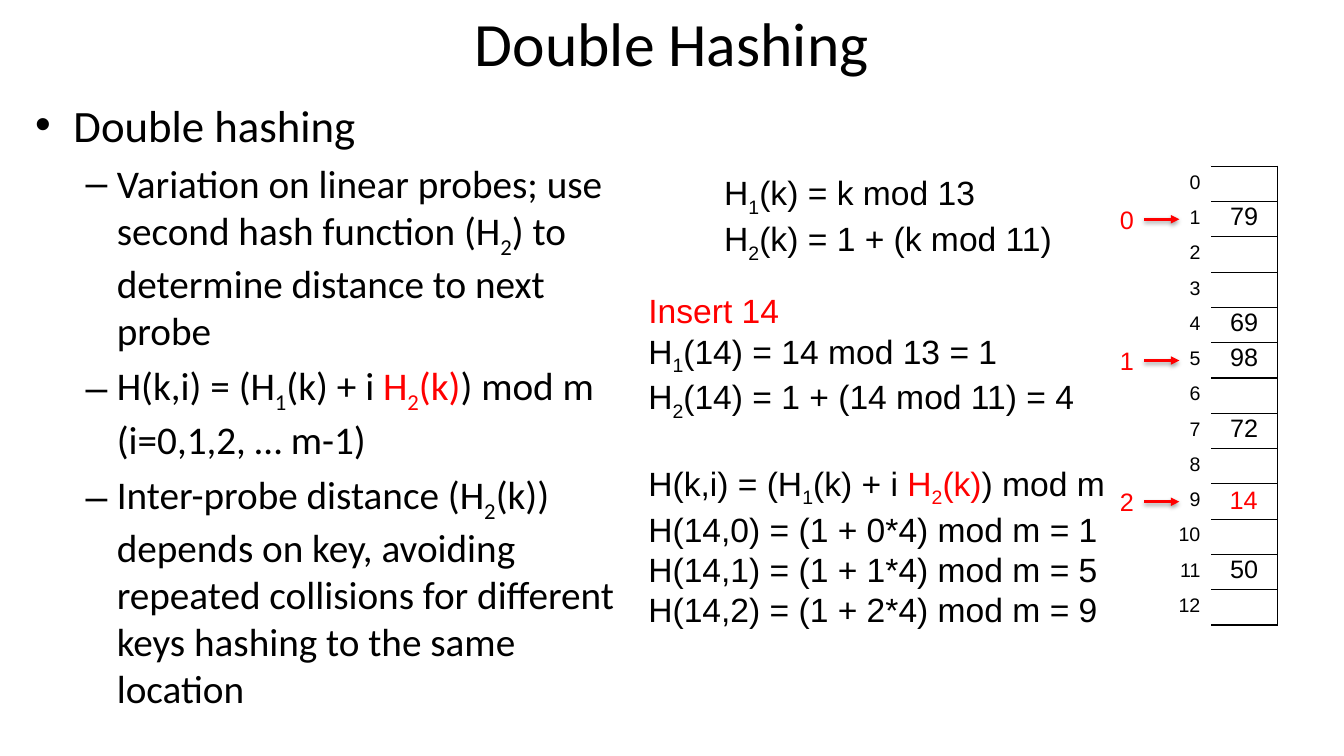
import pptx
import pptx.dml.color
import pptx.enum.shapes
import pptx.enum.text
import pptx.oxml
import pptx.oxml.ns
import pptx.util
from lxml import etree

BLACK = pptx.dml.color.RGBColor(0, 0, 0)
RED = pptx.dml.color.RGBColor(255, 0, 0)
ALIGN = pptx.enum.text.PP_ALIGN
WIDTH, HEIGHT = pptx.util.Inches(13.33), pptx.util.Inches(7.5)
DRAWING = pptx.oxml.ns.nsdecls("a")

# Places are percentages of the slide's width and height.
TABLE_LEFT, TABLE_TOP = 90.07, 22
TABLE_WIDTH, LABEL_WIDTH = 5, 3.75
ROW = 4.67
SLOTS = 13
STORED = {1: "79", 4: "69", 5: "98", 7: "72", 11: "50"}
PROBED_SLOTS = [1, 5, 9]

# In the texts, ~ switches subscript on and off, and | switches red on and off.
RECURRENCE = "H(k,i) = (H~1~(k) + i |H~2~(k)|) mod m"
BODY = [
    "Double hashing",
    "Variation on linear probes; use second hash function (H~2~) to determine distance to next probe",
    RECURRENCE + " (i=0,1,2, … m-1)",
    "Inter-probe distance (H~2~(k)) depends on key, avoiding repeated collisions "
    "for different keys hashing to the same location",
]
FUNCTIONS = ["H~1~(k) = k mod 13", "H~2~(k) = 1 + (k mod 11)"]
INSERTION = ["|Insert 14|", "H~1~(14) = 14 mod 13 = 1", "H~2~(14) = 1 + (14 mod 11) = 4"]
PROBES = [RECURRENCE] + [
    f"H(14,{probe}) = (1 + {probe}*4) mod m = {slot}"
    for probe, slot in enumerate(PROBED_SLOTS)
]


def across(percent):
    return round(WIDTH * percent / 100)


def down(percent):
    return round(HEIGHT * percent / 100)


def slot_top(slot):
    return TABLE_TOP + slot * ROW


def write(para, marked, size, font="Arial"):
    """Fill a paragraph from text with ~ and | switches."""
    for red_turn, stretch in enumerate(marked.split("|")):
        for low_turn, words in enumerate(stretch.split("~")):
            if not words:
                continue
            span = para.add_run()
            span.text = words
            span.font.size = pptx.util.Pt(size)
            span.font.name = font
            span.font.color.rgb = RED if red_turn % 2 else BLACK
            if low_turn % 2:
                span.font._element.set("baseline", "-25000")


def add_text(page, place, lines, size, font="Arial", wrap=False):
    left, top, width, height = place
    box = page.shapes.add_textbox(across(left), down(top), across(width), down(height))
    frame = box.text_frame
    frame.word_wrap = wrap
    for number, line in enumerate(lines):
        para = frame.add_paragraph() if number else frame.paragraphs[0]
        write(para, line, size, font)
    return frame


def add_bullet(para, symbol, size, margin, indent):
    properties = para._p.get_or_add_pPr()
    properties.set("marL", str(pptx.util.Inches(margin)))
    properties.set("indent", str(pptx.util.Inches(-indent)))
    para.space_before = pptx.util.Pt(size * 0.2)
    properties.append(pptx.oxml.parse_xml(f'<a:buFont {DRAWING} typeface="Arial"/>'))
    properties.append(pptx.oxml.parse_xml(f'<a:buChar {DRAWING} char="{symbol}"/>'))


def add_body(page):
    frame = add_text(page, (1.88, 12.22, 45, 86.67), BODY, 28, "Calibri", wrap=True)
    heading, *points = frame.paragraphs
    heading.runs[0].font.size = pptx.util.Pt(32)
    add_bullet(heading, "•", 32, 0.38, 0.38)
    for point in points:
        point.level = 1
        add_bullet(point, "–", 28, 0.81, 0.31)


def add_border(cell):
    properties = cell._tc.get_or_add_tcPr()
    for position, side in enumerate(("lnL", "lnR", "lnT", "lnB")):
        properties.insert(position, pptx.oxml.parse_xml(
            f'<a:{side} {DRAWING} w="12700"><a:solidFill>'
            f'<a:srgbClr val="{BLACK}"/></a:solidFill></a:{side}>'))


def add_column(page, left, width, values, size, align):
    """Add a one-column table with a row for each value, and return its cells."""
    holder = page.shapes.add_table(len(values), 1, across(left), down(TABLE_TOP),
                                   across(width), down(ROW * len(values)))
    table = holder.table
    table.first_row = table.horz_banding = False
    cells = [table.cell(number, 0) for number in range(len(values))]
    for row, cell, value in zip(table.rows, cells, values):
        row.height = down(ROW)
        cell.fill.background()
        para = cell.text_frame.paragraphs[0]
        para.alignment = align
        write(para, value, size)
    return cells


def add_hash_table(page):
    values = [STORED.get(slot, "") for slot in range(SLOTS)]
    for cell in add_column(page, TABLE_LEFT, TABLE_WIDTH, values, 18, ALIGN.CENTER):
        cell.margin_left = cell.margin_right = pptx.util.Inches(0.01)
        cell.margin_top = cell.margin_bottom = pptx.util.Inches(0.01)
        add_border(cell)
    labels = [str(slot) for slot in range(SLOTS)]
    add_column(page, TABLE_LEFT - LABEL_WIDTH, LABEL_WIDTH, labels, 14, ALIGN.RIGHT)


def add_probe(page, probe, slot):
    """Add the red probe number and its arrow to a slot."""
    middle = slot_top(slot + 0.5)
    add_text(page, (82.58, middle - 2.67, 2.55, 5.33), [f"|{probe}|"], 18)
    arrow = page.shapes.add_connector(pptx.enum.shapes.MSO_CONNECTOR.STRAIGHT,
                                      across(85.13), down(middle), across(87.75), down(middle))
    arrow.line.color.rgb = RED
    arrow.line.width = pptx.util.Pt(2)
    etree.SubElement(arrow.line._get_or_add_ln(), pptx.oxml.ns.qn("a:tailEnd"), type="triangle")
    arrow._element.spPr.append(pptx.oxml.parse_xml(
        f'<a:effectLst {DRAWING}><a:outerShdw blurRad="40000" dist="20000" dir="5400000" '
        f'rotWithShape="0"><a:srgbClr val="{BLACK}"><a:alpha val="38000"/></a:srgbClr>'
        '</a:outerShdw></a:effectLst>'))


def main():
    deck = pptx.Presentation()
    deck.slide_width, deck.slide_height = WIDTH, HEIGHT
    page = deck.slides.add_slide(deck.slide_layouts[6])

    title = add_text(page, (16.25, 1, 67.5, 9), ["Double Hashing"], 44, "Calibri", wrap=True)
    title.vertical_anchor = pptx.enum.text.MSO_ANCHOR.MIDDLE
    title.paragraphs[0].alignment = ALIGN.CENTER
    add_body(page)
    add_hash_table(page)

    example = add_text(page, (47.5, 37.73, 36.08, 55.2), INSERTION + PROBES, 24)
    example.paragraphs[len(INSERTION)].space_before = pptx.util.Pt(29)
    add_text(page, (53.15, 22.13, 26.25, 12.13), FUNCTIONS, 24)
    for probe, slot in enumerate(PROBED_SLOTS):
        add_probe(page, probe, slot)
    add_text(page, (90.75, slot_top(PROBED_SLOTS[-1]) - 0.67, 3.6, 5.87), ["|14|"], 18)

    deck.save("out.pptx")


if __name__ == "__main__":
    main()
